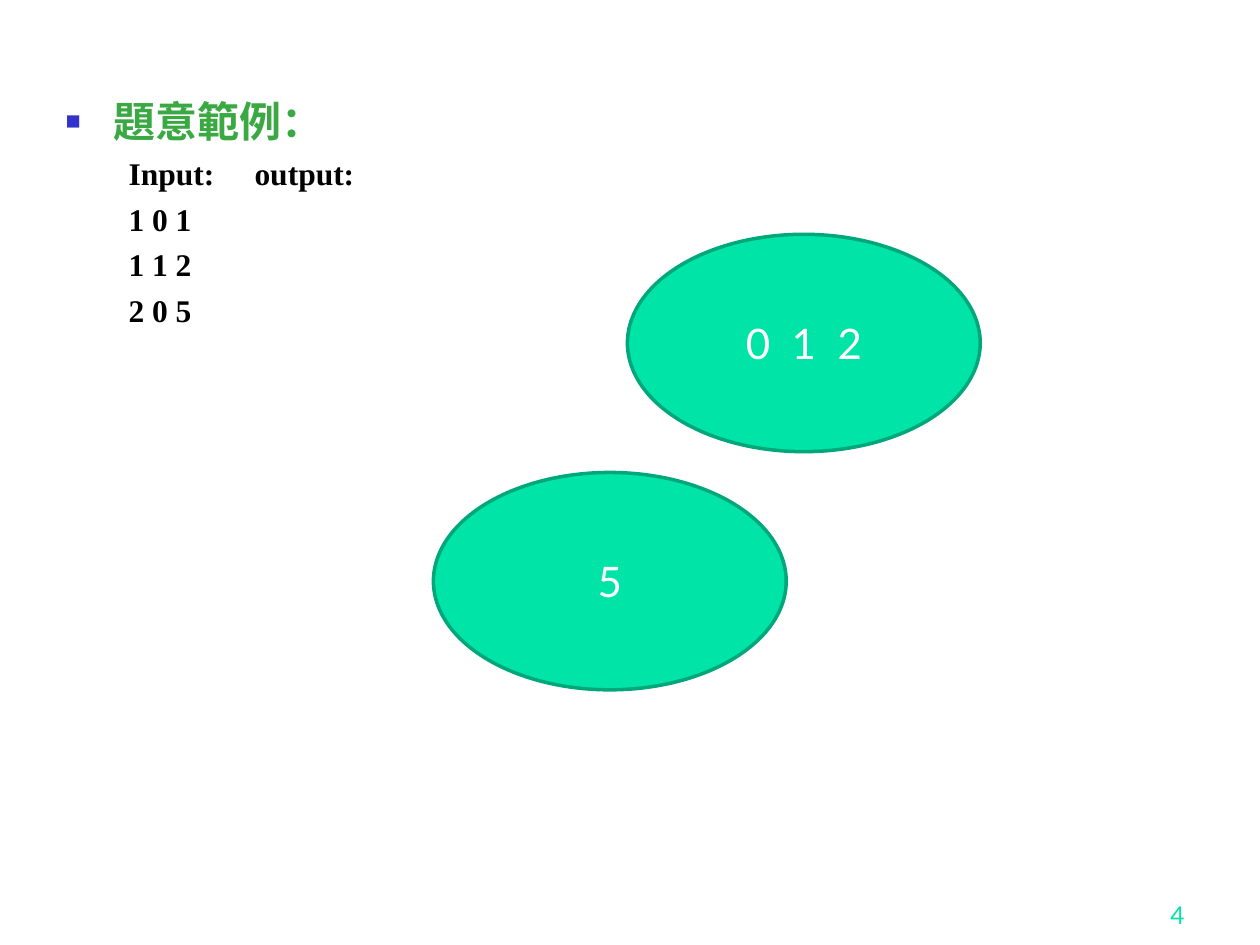
from lxml.etree import SubElement
from pptx import Presentation
from pptx.dml.color import RGBColor
from pptx.enum.shapes import MSO_SHAPE as SHAPE
from pptx.enum.text import MSO_ANCHOR as ANCHOR, MSO_AUTO_SIZE as FIT, PP_ALIGN as ALIGN
from pptx.oxml.ns import qn
from pptx.util import Inches, Pt

MINT = RGBColor(0x00, 0xE4, 0xA8)
TEAL = RGBColor(0x00, 0xA7, 0x7A)
GREEN = RGBColor(0x3B, 0xA9, 0x43)
BLUE = RGBColor(0x33, 0x33, 0xCC)
WHITE = RGBColor(0xFF, 0xFF, 0xFF)
BLACK = RGBColor(0x00, 0x00, 0x00)
SANS, SERIF = "Lato", "Times New Roman"


def add_text(p, text, font=SANS, size=24, color=WHITE, bold=False, align=ALIGN.LEFT):
    p.alignment = align
    r = p.add_run()
    r.text = text
    r.font.name, r.font.size, r.font.bold = font, Pt(size), bold
    r.font.color.rgb = color


def set_indent(p, left, first=0, bullet=None, tab=None):
    pPr = p._p.get_or_add_pPr()
    pPr.set("marL", str(Inches(left)))
    pPr.set("indent", str(Inches(first)))
    if bullet:
        SubElement(SubElement(pPr, qn("a:buClr")), qn("a:srgbClr"), val=str(BLUE))
        SubElement(pPr, qn("a:buSzPct"), val="60000")
        SubElement(pPr, qn("a:buChar"), char=bullet)
    else:
        SubElement(pPr, qn("a:buNone"))
    if tab:
        SubElement(SubElement(pPr, qn("a:tabLst")), qn("a:tab"), pos=str(Inches(tab)), algn="l")


class Deck:
    def __init__(self, width=10, height=7.5):
        self.prs = Presentation()
        self.prs.slide_width, self.prs.slide_height = Inches(width), Inches(height)
        self.s = self.prs.slides.add_slide(self.prs.slide_layouts[1])
        title = self.s.shapes.title._element
        title.getparent().remove(title)

    def box(self, x, y, w, h):
        width, height = self.prs.slide_width, self.prs.slide_height
        return int(x * width), int(y * height), int(w * width), int(h * height)

    def example(self, heading, lines, *area):
        sp = self.s.placeholders[1]
        sp.left, sp.top, sp.width, sp.height = self.box(*area)
        tf = sp.text_frame
        tf.auto_size = FIT.NONE
        p = tf.paragraphs[0]
        set_indent(p, 0.38, -0.38, bullet="■")
        p.line_spacing, p.space_before = 0.9, Pt(0)
        add_text(p, heading, font=SERIF, color=GREEN, bold=True)
        for line in lines:
            p = tf.add_paragraph()
            p.level = 1
            set_indent(p, 0.5, tab=1)
            p.space_before = Pt(4.5)
            add_text(p, line, font=SERIF, size=18, color=BLACK, bold=True)

    def ellipse(self, text, x, y, w=0.28, h=0.23):
        sp = self.s.shapes.add_shape(SHAPE.OVAL, *self.box(x, y, w, h))
        sp.shadow.inherit = False
        sp.fill.solid()
        sp.fill.fore_color.rgb = MINT
        sp.line.color.rgb, sp.line.width = TEAL, Pt(2)
        tf = sp.text_frame
        tf.vertical_anchor = ANCHOR.MIDDLE
        add_text(tf.paragraphs[0], text, align=ALIGN.CENTER)

    def page_number(self, text, *area):
        tf = self.s.shapes.add_textbox(*self.box(*area)).text_frame
        tf.word_wrap, tf.vertical_anchor = True, ANCHOR.BOTTOM
        add_text(tf.paragraphs[0], text, size=14, color=MINT, align=ALIGN.RIGHT)


def main():
    deck = Deck()
    deck.page_number("4", 0.742, 0.923, 0.208, 0.067)
    deck.example("題意範例：", ["Input:\toutput:\t", "1 0 1", "1 1 2", "2 0 5"],
                 0.042, 0.1, 0.883, 0.82)
    deck.ellipse("0  1  2", 0.498, 0.248)
    deck.ellipse("5", 0.344, 0.5)
    deck.prs.save("out.pptx")


if __name__ == "__main__":
    main()
